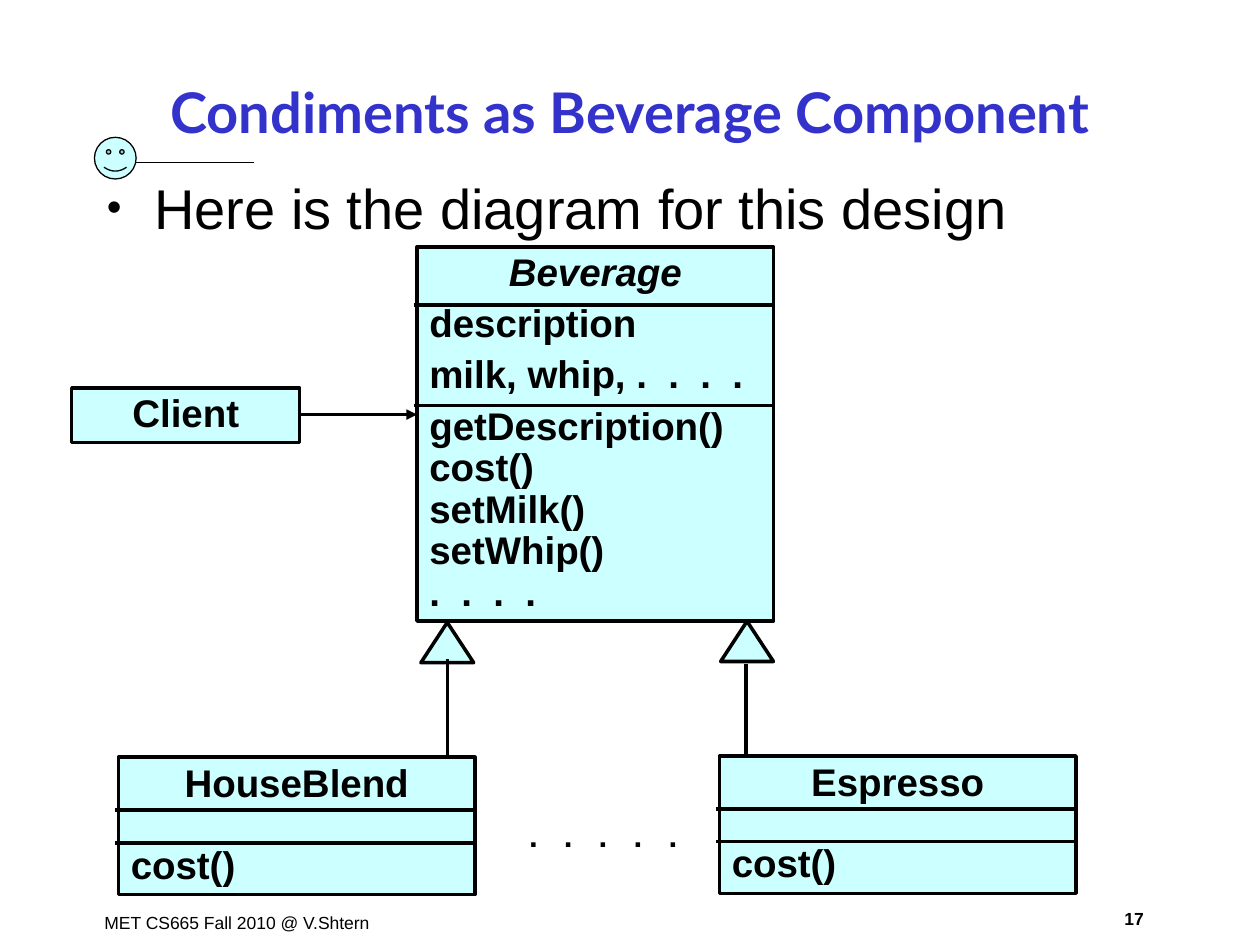
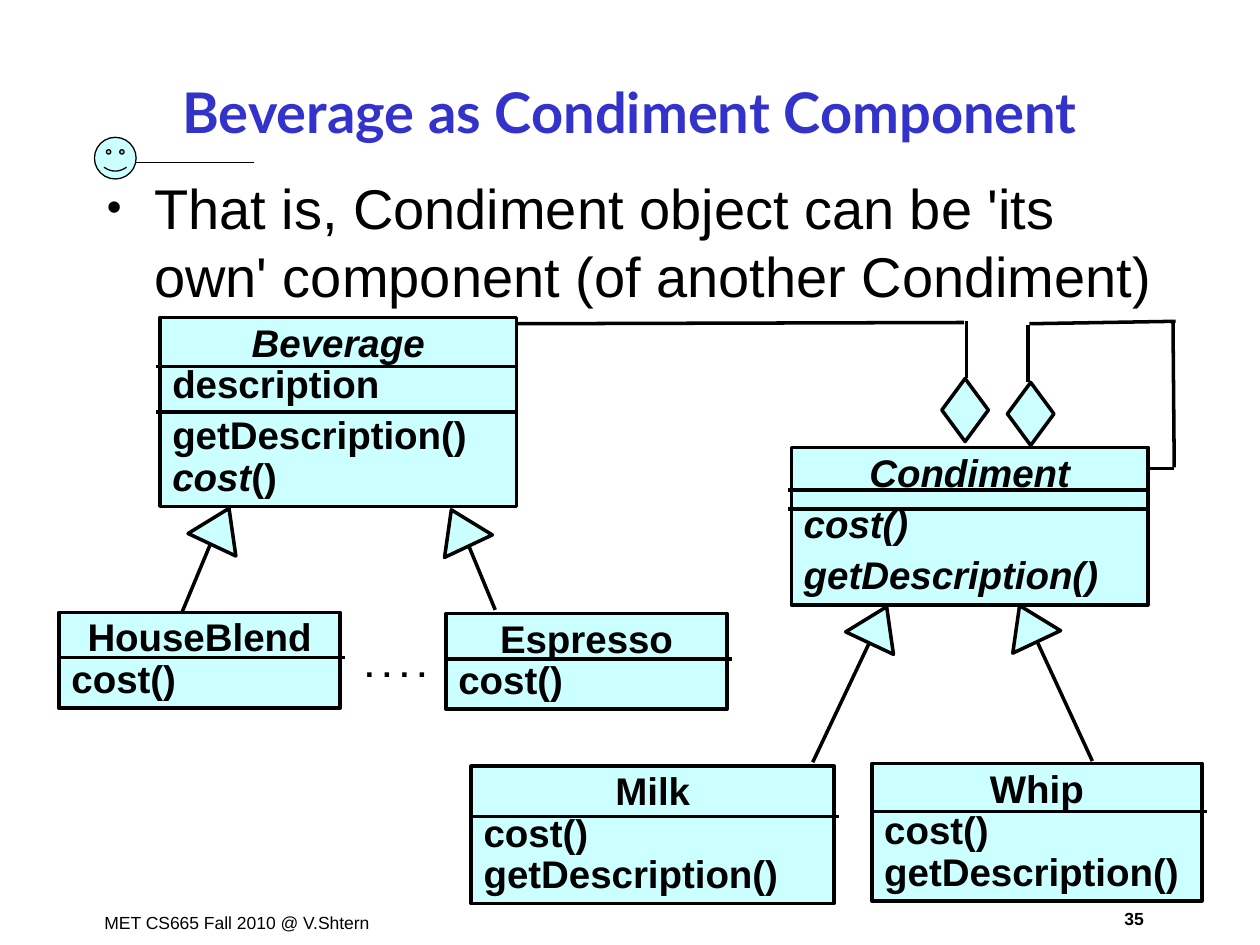
from dataclasses import dataclass
from typing import Any

from lxml import etree
from pptx import Presentation
from pptx.dml.color import RGBColor
from pptx.enum.shapes import MSO_CONNECTOR, MSO_SHAPE
from pptx.enum.text import MSO_ANCHOR, PP_ALIGN
from pptx.oxml.ns import qn
from pptx.util import Pt

BLACK = RGBColor(0x00, 0x00, 0x00)
PALE_CYAN = RGBColor(0xCC, 0xFF, 0xFF)
TITLE_BLUE = RGBColor(0x33, 0x33, 0xCC)
BODY_FONT, TITLE_FONT = "Arial", "Lato"
LEFT, CENTER = PP_ALIGN.LEFT, PP_ALIGN.CENTER
TOP, MIDDLE = MSO_ANCHOR.TOP, MSO_ANCHOR.MIDDLE
RECTANGLE, TRIANGLE = MSO_SHAPE.RECTANGLE, MSO_SHAPE.ISOSCELES_TRIANGLE
DIAMOND, SMILEY = MSO_SHAPE.FLOWCHART_DECISION, MSO_SHAPE.SMILEY_FACE
STRAIGHT = MSO_CONNECTOR.STRAIGHT

FRAME_FORMAT = {
    "word_wrap": True,
    "margin_left": Pt(7.2),
    "margin_right": Pt(7.2),
    "margin_top": Pt(3.6),
    "margin_bottom": Pt(3.6),
}
WIDE, NARROW = 203.8, 160.6
TALL, SHORT = 78.5, 54.7
TRIANGLE_SIZE = (30.2, 23)
DIAMOND_SIZE = (36, 26.6)
TILT = 25.2


@dataclass(frozen=True)
class Span:
    text: str
    italic: bool = False
    bold: bool = True
    size: float = 22
    font: str = BODY_FONT
    color: RGBColor = BLACK
    spacing: float = 0


@dataclass(frozen=True)
class Line:
    spans: tuple[Span, ...]
    align: Any = LEFT
    before: float = 0
    line_spacing: float = 0.9


@dataclass(frozen=True)
class ClassBox:
    left: float
    top: float
    width: float
    height: float
    lines: tuple[Line, ...]
    dividers: tuple[float, ...] = ()


@dataclass(frozen=True)
class Marker:
    """A triangle for inheritance or a diamond for aggregation."""
    left: float
    top: float
    rotation: float = 0
    kind: Any = TRIANGLE
    size: tuple[float, float] = TRIANGLE_SIZE


@dataclass(frozen=True)
class Link:
    x1: float
    y1: float
    x2: float
    y2: float
    width: float = 2
    arrow: bool = False


@dataclass(frozen=True)
class Dots:
    left: float
    top: float
    width: float
    text: str
    spacing: float = 0


@dataclass(frozen=True)
class Diagram:
    title: str
    bullet: str
    number: str
    boxes: tuple[ClassBox, ...]
    markers: tuple[Marker, ...]
    links: tuple[Link, ...]
    dots: Dots


def heading(name: str, italic: bool = False) -> Line:
    return Line((Span(name, italic),), CENTER)


def member(text: str, before: float = 0, italic: bool = False) -> Line:
    return Line((Span(text, italic),), before=before)


def apply(target: Any, formats: dict[str, Any]) -> None:
    for name, value in formats.items():
        setattr(target, name, value)


def write(shape: Any, lines: tuple[Line, ...], anchor: Any = TOP) -> None:
    frame = shape.text_frame
    apply(frame, FRAME_FORMAT | {"vertical_anchor": anchor})
    for index, line in enumerate(lines):
        para = frame.paragraphs[0] if index == 0 else frame.add_paragraph()
        apply(para, {
            "alignment": line.align,
            "space_before": Pt(line.before),
            "line_spacing": line.line_spacing,
        })
        for span in line.spans:
            run = para.add_run()
            run.text = span.text
            apply(run.font, {
                "name": span.font,
                "size": Pt(span.size),
                "bold": span.bold,
                "italic": span.italic,
            })
            run.font.color.rgb = span.color
            if span.spacing:
                run._r.get_or_add_rPr().set("spc", str(round(span.spacing * 100)))


def add_text(page: Any, left: float, top: float, width: float, height: float,
             line: Line, anchor: Any = TOP) -> Any:
    box = page.shapes.add_textbox(Pt(left), Pt(top), Pt(width), Pt(height))
    write(box, (line,), anchor)
    return box


def add_outlined(page: Any, kind: Any, left: float, top: float, width: float,
                 height: float, line_width: float = 2) -> Any:
    shape = page.shapes.add_shape(kind, Pt(left), Pt(top), Pt(width), Pt(height))
    shape.shadow.inherit = False
    shape.fill.solid()
    shape.fill.fore_color.rgb = PALE_CYAN
    shape.line.color.rgb = BLACK
    shape.line.width = Pt(line_width)
    return shape


def add_link(page: Any, link: Link) -> None:
    connector = page.shapes.add_connector(
        STRAIGHT, Pt(link.x1), Pt(link.y1), Pt(link.x2), Pt(link.y2))
    connector.line.color.rgb = BLACK
    connector.line.width = Pt(link.width)
    if link.arrow:
        etree.SubElement(connector.line._get_or_add_ln(), qn("a:tailEnd"), type="triangle")
    etree.SubElement(connector._element.spPr, qn("a:effectLst"))


def add_class_box(page: Any, box: ClassBox) -> None:
    """Draw a class; dividers of three-part classes stick out on the left."""
    shape = add_outlined(page, RECTANGLE, box.left, box.top, box.width, box.height)
    write(shape, box.lines, MIDDLE)
    start, end = (-2, 1) if len(box.dividers) == 2 else (0, 3)
    for y in box.dividers:
        add_link(page, Link(box.left + start, y, box.left + box.width + end, y))


def add_bullet(para: Any) -> None:
    properties = para._p.get_or_add_pPr()
    properties.set("marL", str(Pt(27)))
    properties.set("indent", str(-Pt(27)))
    color = etree.SubElement(properties, qn("a:buClr"))
    etree.SubElement(color, qn("a:srgbClr"), val=str(BLACK))
    etree.SubElement(properties, qn("a:buSzPct"), val="75000")
    etree.SubElement(properties, qn("a:buFont"), typeface=BODY_FONT)
    etree.SubElement(properties, qn("a:buChar"), char="•")


def add_frame(page: Any, diagram: Diagram) -> None:
    """Draw the footer, title and bullet that every slide has."""
    footer = Span("MET CS665 Fall 2010 @ V.Shtern", bold=False, size=10)
    add_text(page, 52.6, 517.7, 173.5, 19.4, Line((footer,), before=6.2, line_spacing=1))
    number = Span(diagram.number, size=10)
    add_text(page, 628.6, 515.5, 38.9, 19.4, Line((number,), CENTER, 6.2, 1))
    smiley = add_outlined(page, SMILEY, 54, 78.5, 23.8, 23.8, 0.75)
    smiley.adjustments[0] = 0.093
    add_link(page, Link(77.8, 92.9, 145.4, 92.9, 1))
    title = Span(diagram.title, size=32, font=TITLE_FONT, color=TITLE_BLUE)
    add_text(page, 54, 34.6, 612, 57.6, Line((title,), CENTER, line_spacing=1), MIDDLE)
    bullet = Span(diagram.bullet, bold=False, size=32)
    body = add_text(page, 54, 95.8, 612, 414.7, Line((bullet,), before=8, line_spacing=1))
    add_bullet(body.text_frame.paragraphs[0])


def add_diagram(deck: Any, diagram: Diagram) -> None:
    page = deck.slides.add_slide(deck.slide_layouts[6])
    add_frame(page, diagram)
    for box in diagram.boxes:
        add_class_box(page, box)
    for marker in diagram.markers:
        shape = add_outlined(page, marker.kind, marker.left, marker.top, *marker.size)
        shape.rotation = marker.rotation
    for link in diagram.links:
        add_link(page, link)
    dots = diagram.dots
    span = Span(dots.text, size=18, spacing=dots.spacing)
    add_text(page, dots.left, dots.top, dots.width, 26.6, Line((span,), before=11.2))


ELLIPSIS = Span(". . . .", spacing=3.06)
COST, GET_DESCRIPTION = member("cost()"), member("getDescription()")
EMPTY_PART = 22.8

DIAGRAMS = (
    Diagram(
        "Condiments as Beverage Component", "Here is the diagram for this design", "17",
        boxes=(
            ClassBox(238.3, 141.1, WIDE, 213.8, (
                heading("Beverage", italic=True),
                member("description", 5.5),
                Line((Span("milk, whip, "), ELLIPSIS), before=5.5),
                member("getDescription()", 5.5),
                COST, member("setMilk()"), member("setWhip()"), Line((ELLIPSIS,)),
            ), (174.2, 231.8)),
            ClassBox(67.7, 432.7, WIDE, TALL,
                     (heading("HouseBlend"), member("cost()", EMPTY_PART)), (463, 481.7)),
            ClassBox(411.1, 432, WIDE, TALL,
                     (heading("Espresso"), member("cost()", EMPTY_PART)), (462.2, 481)),
            ClassBox(41, 221.8, 130.3, 31, (heading("Client"),)),
        ),
        markers=(Marker(240.5, 355.7), Marker(411.8, 355)),
        links=(
            Link(255.6, 376.6, 255.6, 431.3),
            Link(426.2, 379.4, 426.2, 430.6),
            Link(171.4, 236.9, 238.3, 236.9, arrow=True),
        ),
        dots=Dots(295.2, 465.1, 123.8, ". . . . .", 5),
    ),
    Diagram(
        "Beverage as Condiment Component",
        "That is, Condiment object can be 'its own' component (of another Condiment)", "35",
        boxes=(
            ClassBox(91.4, 181.4, WIDE, 108, (
                heading("Beverage", italic=True),
                member("description"),
                member("getDescription()", 5.5),
                Line((Span("cost", italic=True), Span("()"))),
            ), (209.5, 235.4)),
            ClassBox(33.8, 349.9, NARROW, SHORT, (heading("HouseBlend"), COST), (375.8,)),
            ClassBox(254.9, 350.6, NARROW, SHORT, (heading("Espresso"), COST), (376.6,)),
            ClassBox(452.2, 255.6, WIDE, 90, (
                heading("Condiment", italic=True),
                member("cost()", 5.5, italic=True),
                member("getDescription()", 5.5, italic=True),
            ), (280.1, 290.9)),
            ClassBox(269.3, 437.8, 207.4, TALL,
                     (heading("Milk"), COST, GET_DESCRIPTION), (466.6,)),
            ClassBox(498.2, 436.3, 188.6, TALL,
                     (heading("Whip"), COST, GET_DESCRIPTION), (463.7,)),
        ),
        markers=(
            Marker(110.9, 289.4, TILT),
            Marker(247.7, 290.2, -TILT),
            Marker(486.7, 345.6, TILT),
            Marker(572.4, 344.9, -TILT),
            Marker(533.5, 221, 270, DIAMOND, DIAMOND_SIZE),
            Marker(571, 223.2, 270, DIAMOND, DIAMOND_SIZE),
        ),
        links=(
            Link(120.2, 311, 103.7, 350.6),
            Link(267.8, 311.8, 283, 348.5),
            Link(496.8, 367.2, 464.4, 435.6),
            Link(592.6, 366.5, 624.2, 434.9),
            Link(295.9, 185, 550.8, 184.3),
            Link(552.2, 216, 552.2, 183.6),
            Link(587.5, 218.2, 587.5, 185.8),
            Link(588.2, 185, 671.8, 183.6),
            Link(671, 267.1, 670.3, 183.6),
            Link(656.6, 267.8, 671, 267.8),
        ),
        dots=Dots(201.6, 367.9, 50.4, ". . . ."),
    ),
)


def main() -> None:
    deck = Presentation()
    apply(deck, {"slide_width": Pt(720), "slide_height": Pt(540)})
    for diagram in DIAGRAMS:
        add_diagram(deck, diagram)
    deck.save("out.pptx")


if __name__ == "__main__":
    main()
